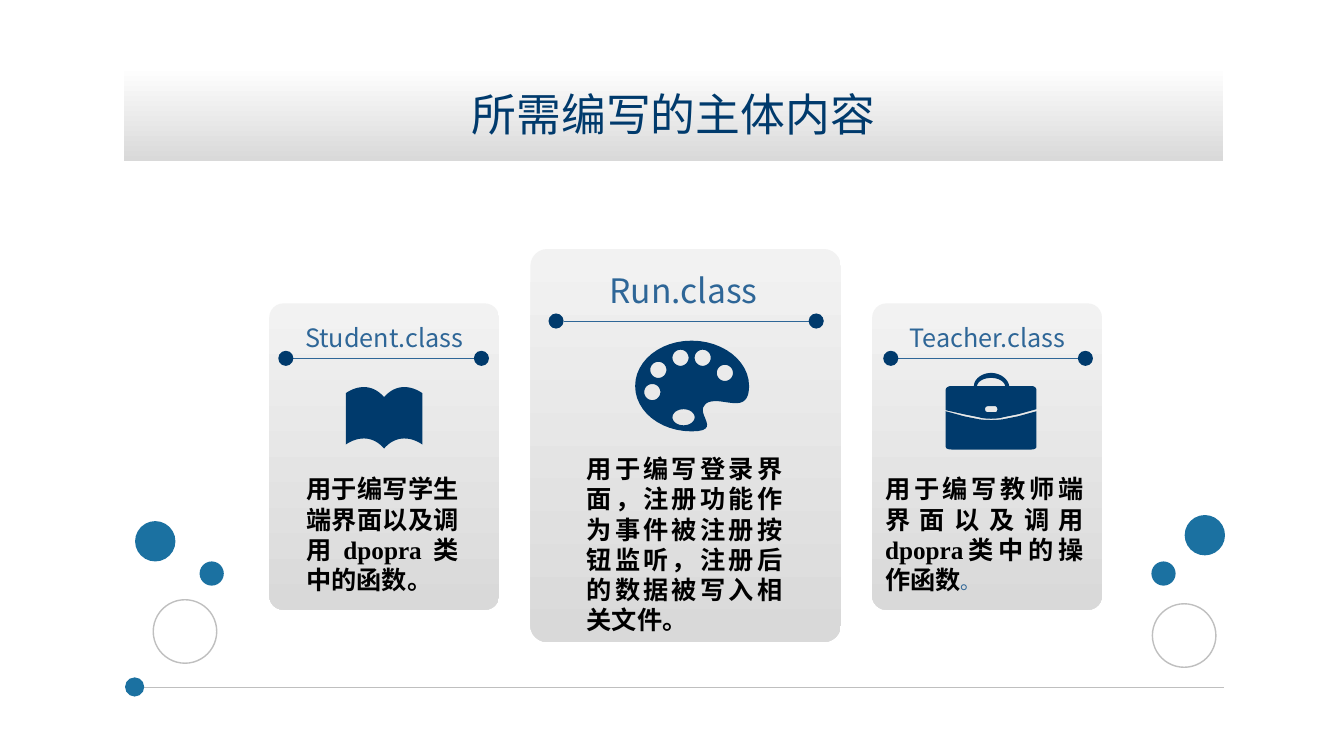
from math import cos, pi, sin

from lxml import etree
from pptx import Presentation
from pptx.dml.color import RGBColor
from pptx.enum.shapes import MSO_CONNECTOR as CONN, MSO_SHAPE as SHAPE
from pptx.enum.text import MSO_ANCHOR as ANCHOR, MSO_AUTO_SIZE as AUTO, PP_ALIGN as ALIGN
from pptx.oxml.ns import qn
from pptx.util import Inches, Pt

NAVY, BLUE, TEAL, GREY = "003A6C", "2E6697", "1B71A1", "BFBFBF"
SANS, SERIF = "Noto Sans CJK SC", "Times New Roman"
DOT = 0.15


def rgb(value):
    return RGBColor.from_string(value)


def bezier(start, curve, steps=12):
    xs, ys = (start[0], *curve[::2]), (start[1], *curve[1::2])
    for i in range(1, steps + 1):
        t = i / steps
        weights = ((1 - t) ** 3, 3 * t * (1 - t) ** 2, 3 * t * t * (1 - t), t ** 3)
        yield tuple(sum(w * v for w, v in zip(weights, axis)) for axis in (xs, ys))


def outline(*steps):
    points = []
    for step in steps:
        if len(step) == 2:
            points.append(step)
        else:
            points.extend(bezier(points[-1], step))
    return points


def oval(cx, cy, rx, ry, steps=32):
    angles = [2 * pi * i / steps for i in range(steps)]
    return [(cx + rx * cos(a), cy + ry * sin(a)) for a in angles]


class SlideMaker:
    title = {"size": Pt(32), "name": SANS, "bold": False, "color": NAVY}
    heading = {"size": Pt(18), "name": SANS, "color": BLUE}
    main_heading = {**heading, "size": Pt(24)}
    body = {"size": Pt(18), "name": SERIF, "bold": True, "color": "000000"}
    stop = {"size": Pt(14), "name": SANS, "color": BLUE}

    def __init__(self, prs):
        self.slide = prs.slides.add_slide(prs.slide_layouts[5])
        self.shapes = self.slide.shapes

    def run(self, p, text, style):
        r = p.add_run()
        r.text = text
        for key, value in style.items():
            if key == "color":
                r.font.color.rgb = rgb(value)
            else:
                setattr(r.font, key, value)
        etree.SubElement(r.font._element, qn("a:ea"), typeface=SANS)

    def gradient(self, sp, top, bottom):
        sp.fill.gradient()
        sp.fill.gradient_angle = 270
        for stop, position, colour in zip(sp.fill.gradient_stops, (0, 1), (top, bottom)):
            stop.position = position
            stop.color.rgb = rgb(colour)

    def banner(self, text, x, y, w, h):
        sp = self.shapes.title
        box = {"left": x, "top": y, "width": w, "height": h}
        for key, value in box.items():
            setattr(sp, key, Inches(value))
        self.gradient(sp, "FFFFFF", "D9D9D9")
        tf = sp.text_frame
        for key, value in {"vertical_anchor": ANCHOR.MIDDLE, "auto_size": AUTO.NONE,
                           "word_wrap": True}.items():
            setattr(tf, key, value)
        p = tf.paragraphs[0]
        p.alignment = ALIGN.CENTER
        self.run(p, text, self.title)

    def shape(self, kind, x, y, w, h):
        sp = self.shapes.add_shape(kind, *map(Inches, (x, y, w, h)))
        sp.shadow.inherit = False
        sp.line.fill.background()
        return sp

    def card(self, x, y, w, h, corner):
        sp = self.shape(SHAPE.ROUNDED_RECTANGLE, x, y, w, h)
        sp.adjustments[0] = corner
        self.gradient(sp, "F2F2F2", "D9D9D9")

    def circle(self, x, y, d, fill, line=None):
        sp = self.shape(SHAPE.OVAL, x, y, d, d)
        sp.fill.solid()
        sp.fill.fore_color.rgb = rgb(fill)
        if line:
            sp.line.color.rgb = rgb(line)
            sp.line.width = Pt(1)

    def line(self, x1, x2, y, colour):
        cn = self.shapes.add_connector(CONN.STRAIGHT, *map(Inches, (x1, y, x2, y)))
        cn.line.color.rgb = rgb(colour)
        cn.line.width = Pt(0.5)
        etree.SubElement(cn._element.spPr, qn("a:effectLst"))

    def dumbbell(self, left, right, y):
        self.line(left + DOT, right, y + DOT / 2, BLUE)
        for x in (left, right):
            self.circle(x, y, DOT, NAVY)

    def text(self, box, align, *runs):
        tf = self.shapes.add_textbox(*map(Inches, box)).text_frame
        tf.word_wrap = True
        tf.auto_size = AUTO.SHAPE_TO_FIT_TEXT
        p = tf.paragraphs[0]
        p.alignment = align
        for text, style in runs:
            self.run(p, text, style)

    def icon(self, *contours):
        contours = [[(Inches(x), Inches(y)) for x, y in c] for c in contours]
        builder = self.shapes.build_freeform(*contours[0][0])
        for i, (start, *rest) in enumerate(contours):
            if i:
                builder.move_to(*start)
            builder.add_line_segments(rest, close=True)
        sp = builder.convert_to_shape()
        sp.shadow.inherit = False
        sp.fill.solid()
        sp.fill.fore_color.rgb = rgb(NAVY)
        sp.line.fill.background()


def main():
    prs = Presentation()
    prs.slide_width, prs.slide_height = Inches(13.33), Inches(7.5)
    s = SlideMaker(prs)
    s.banner("所需编写的主体内容", 1.23, 0.65, 10.9, 0.95)

    side = (3.01, 2.28, 3.04, 0.062)
    cards = [
        ((2.67, *side), (2.3, 3.15, 3.02, 0.4), [("Student.class", s.heading)],
         (2.76, 4.7, 3.48), (2.94, 4.65, 1.71, 1.31),
         [("用于编写学生端界面以及调用dpopra类中的函数。", s.body)]),
        ((5.26, 2.47, 3.08, 3.9, 0.055), (5.24, 2.63, 3.08, 0.51),
         [("Run.class", s.main_heading)],
         (5.44, 8.02, 3.11), (5.72, 4.45, 2.14, 1.92),
         [("用于编写登录界面，注册功能作为事件被注册按钮监听，注册后的数据被写入相关文件。", s.body)]),
        ((8.65, *side), (8.28, 3.15, 3.02, 0.4), [("Teacher.class", s.heading)],
         (8.76, 10.69, 3.48), (8.68, 4.65, 2.17, 1.31),
         [("用于编写教师端界面以及调用dpopra类中的操作函数", s.body), ("。", s.stop)]),
    ]
    for card, heading_box, heading, rule, body_box, body in cards:
        s.card(*card)
        s.text(heading_box, ALIGN.CENTER, *heading)
        s.dumbbell(*rule)
        s.text(body_box, ALIGN.JUSTIFY, *body)

    s.line(1.24, 12.14, 6.82, GREY)
    for x, y, d in [(1.24, 6.72, 0.19), (1.34, 5.17, 0.4), (1.98, 5.57, 0.24),
                    (11.75, 5.11, 0.4), (11.42, 5.57, 0.24)]:
        s.circle(x, y, d, TEAL)
    for x, y in [(1.52, 5.95), (11.43, 5.99)]:
        s.circle(x, y, 0.63, "FFFFFF", GREY)

    page = outline((3.81, 3.94), (3.75, 3.87, 3.68, 3.84, 3.61, 3.84),
                   (3.55, 3.84, 3.49, 3.86, 3.43, 3.9), (3.43, 4.41),
                   (3.49, 4.37, 3.55, 4.35, 3.61, 4.35),
                   (3.68, 4.35, 3.75, 4.38, 3.81, 4.45))
    s.icon(page + [(2 * 3.81 - x, y) for x, y in reversed(page)])

    palette = outline((6.86, 3.38), (7.17, 3.38, 7.43, 3.58, 7.43, 3.83),
                      (7.43, 3.97, 7.37, 4, 7.3, 4), (7.23, 4, 7.16, 3.98, 7.1, 3.98),
                      (7.05, 3.98, 7.01, 3.99, 6.99, 4.02),
                      (6.9, 4.11, 7.17, 4.28, 6.86, 4.28),
                      (6.55, 4.28, 6.3, 4.08, 6.3, 3.83),
                      (6.3, 3.58, 6.55, 3.38, 6.86, 3.38))
    paints = [(7.19, 3.7), (6.97, 3.55), (6.75, 3.55), (6.53, 3.67), (6.47, 3.89)]
    s.icon(palette, oval(6.78, 4.14, 0.11, 0.08),
           *[oval(x, y, 0.08, 0.08) for x, y in paints])

    case_base = outline((10.28, 4.08), (10.28, 4.43), (10.28, 4.45, 10.26, 4.46, 10.23, 4.46),
                        (9.44, 4.46), (9.4, 4.46, 9.38, 4.45, 9.38, 4.43), (9.38, 4.08),
                        (9.56, 4.13), (9.71, 4.16), (9.77, 4.17, 9.89, 4.17, 9.95, 4.16),
                        (10.1, 4.13))
    case_lid = outline((9.83, 3.7), (9.92, 3.7, 10, 3.76, 10.01, 3.83), (10.23, 3.83),
                       (10.26, 3.83, 10.28, 3.85, 10.28, 3.87), (10.28, 4.06),
                       (10.1, 4.11), (9.95, 4.14), (9.89, 4.16, 9.77, 4.16, 9.71, 4.14),
                       (9.56, 4.11), (9.38, 4.07), (9.38, 3.87),
                       (9.38, 3.85, 9.4, 3.83, 9.44, 3.83), (9.66, 3.83),
                       (9.66, 3.76, 9.74, 3.7, 9.83, 3.7))
    clasp = outline((9.8, 4.03), (9.76, 4.03, 9.76, 4.09, 9.8, 4.09), (9.87, 4.09),
                    (9.9, 4.09, 9.9, 4.03, 9.87, 4.03))
    handle = outline((9.83, 3.75), (9.76, 3.75, 9.7, 3.78, 9.69, 3.83), (9.97, 3.83),
                     (9.96, 3.78, 9.9, 3.75, 9.83, 3.75))
    s.icon(case_base, case_lid, clasp, handle)
    prs.save("out.pptx")


if __name__ == "__main__":
    main()
